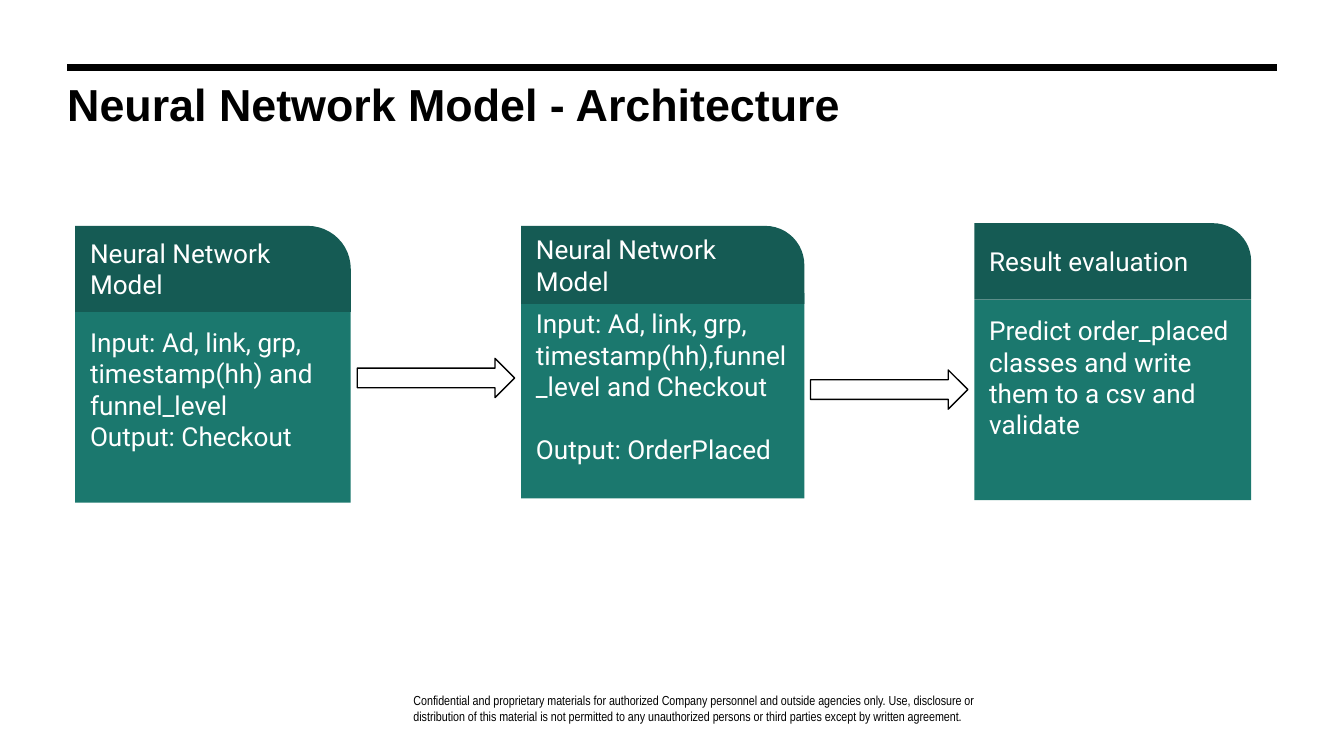
import pptx
import pptx.dml.color
import pptx.enum.shapes
import pptx.enum.text
import pptx.util
from lxml import etree

Pt = pptx.util.Pt
RGBColor = pptx.dml.color.RGBColor
Shape = pptx.enum.shapes.MSO_SHAPE
Anchor = pptx.enum.text.MSO_ANCHOR

BLACK = RGBColor(0x00, 0x00, 0x00)
WHITE = RGBColor(0xFF, 0xFF, 0xFF)
TEAL = RGBColor(0x1B, 0x78, 0x6E)
DARK_TEAL = RGBColor(0x15, 0x5B, 0x54)

FOOTER = (
    "Confidential and proprietary materials for authorized Company personnel "
    "and outside agencies only. Use, disclosure or distribution of this material "
    "is not permitted to any unauthorized persons or third parties except by "
    "written agreement."
)

# left, width, header top, header height, body top, body height,
# heading, body lines, gap between body lines
CARDS = [
    (40.3, 147.6, 121, 46, 167, 102.3, "Neural Network Model",
     ["Input: Ad, link, grp, timestamp(hh) and funnel_level",
      "Output: Checkout"], 0),
    (279.2, 151.7, 121, 41.8, 157, 110, "Neural Network Model",
     ["Input: Ad, link, grp, timestamp(hh),funnel_level and Checkout",
      "Output: OrderPlaced"], 16.8),
    (522, 148.3, 119.6, 41, 160.6, 107.3, "Result evaluation",
     ["Predict order_placed classes and write them to a csv and validate"], 0),
]
ARROWS = [(191.4, 192), (434.2, 198.2)]


class SlideBuilder:
    card_font = "Roboto"
    card_size = 14
    card_inset = 7.9

    def __init__(self, slide):
        self.slide = slide

    def fill_text(self, shape, lines, font, size, color, insets,
                  anchor=Anchor.TOP, bold=False, gap=0, spacing=None):
        """Fill a shape with one left-aligned paragraph per line."""
        frame = shape.text_frame
        frame.word_wrap = True
        frame.vertical_anchor = anchor
        (frame.margin_left, frame.margin_top,
         frame.margin_right, frame.margin_bottom) = map(Pt, insets)
        for index, line in enumerate(lines):
            para = frame.paragraphs[0] if index == 0 else frame.add_paragraph()
            para.alignment = pptx.enum.text.PP_ALIGN.LEFT
            if index:
                para.space_before = Pt(gap)
            if spacing:
                para.line_spacing = spacing
            span = para.add_run()
            span.text = line
            span.font.name = font
            span.font.size = Pt(size)
            span.font.bold = bold
            span.font.color.rgb = color

    def text(self, left, top, width, height, line, **style):
        box = self.slide.shapes.add_textbox(Pt(left), Pt(top), Pt(width), Pt(height))
        self.fill_text(box, [line], color=BLACK, **style)

    def rule(self, left, right, top, weight):
        line = self.slide.shapes.add_connector(
            pptx.enum.shapes.MSO_CONNECTOR.STRAIGHT,
            Pt(left), Pt(top), Pt(right), Pt(top))
        line.line.color.rgb = BLACK
        line.line.width = Pt(weight)
        namespace = line._element.nsmap["a"]
        etree.SubElement(line._element.spPr, f"{{{namespace}}}effectLst")

    def shape(self, shapes, kind, left, top, width, height, fill):
        shape = shapes.add_shape(kind, Pt(left), Pt(top), Pt(width), Pt(height))
        shape.shadow.inherit = False
        shape.fill.solid()
        shape.fill.fore_color.rgb = fill
        shape.line.fill.background()
        return shape

    def card(self, left, width, header_top, header_height,
             body_top, body_height, heading, lines, gap):
        shapes = self.slide.shapes.add_group_shape().shapes
        style = dict(font=self.card_font, size=self.card_size, color=WHITE,
                     insets=[self.card_inset] * 4)
        body = self.shape(shapes, Shape.RECTANGLE,
                          left, body_top, width, body_height, TEAL)
        self.fill_text(body, lines, gap=gap, **style)
        header = self.shape(shapes, Shape.ROUND_1_RECTANGLE,
                            left, header_top, width, header_height, DARK_TEAL)
        header.adjustments[0] = 0.5
        self.fill_text(header, [heading], anchor=Anchor.MIDDLE, **style)

    def arrow(self, left, top):
        arrow = self.shape(self.slide.shapes, Shape.RIGHT_ARROW,
                           left, top, 84.3, 21, WHITE)
        arrow.line.color.rgb = BLACK
        arrow.line.width = Pt(0.75)


def main():
    deck = pptx.Presentation()
    deck.slide_width, deck.slide_height = Pt(720), Pt(405)
    page = SlideBuilder(deck.slides.add_slide(deck.slide_layouts[6]))

    page.text(221.5, 370, 317, 18, FOOTER, font="Arial Narrow", size=7,
              insets=(0, 0, 14.4, 0), anchor=Anchor.BOTTOM)
    page.rule(36, 684, 36, 3.75)
    page.text(36, 46.8, 558, 111.6, "Neural Network Model - Architecture",
              font="Arial", size=24, insets=(0, 0, 0, 0), bold=True, spacing=0.8)
    for card in CARDS:
        page.card(*card)
    for arrow in ARROWS:
        page.arrow(*arrow)

    deck.save("out.pptx")


if __name__ == "__main__":
    main()
